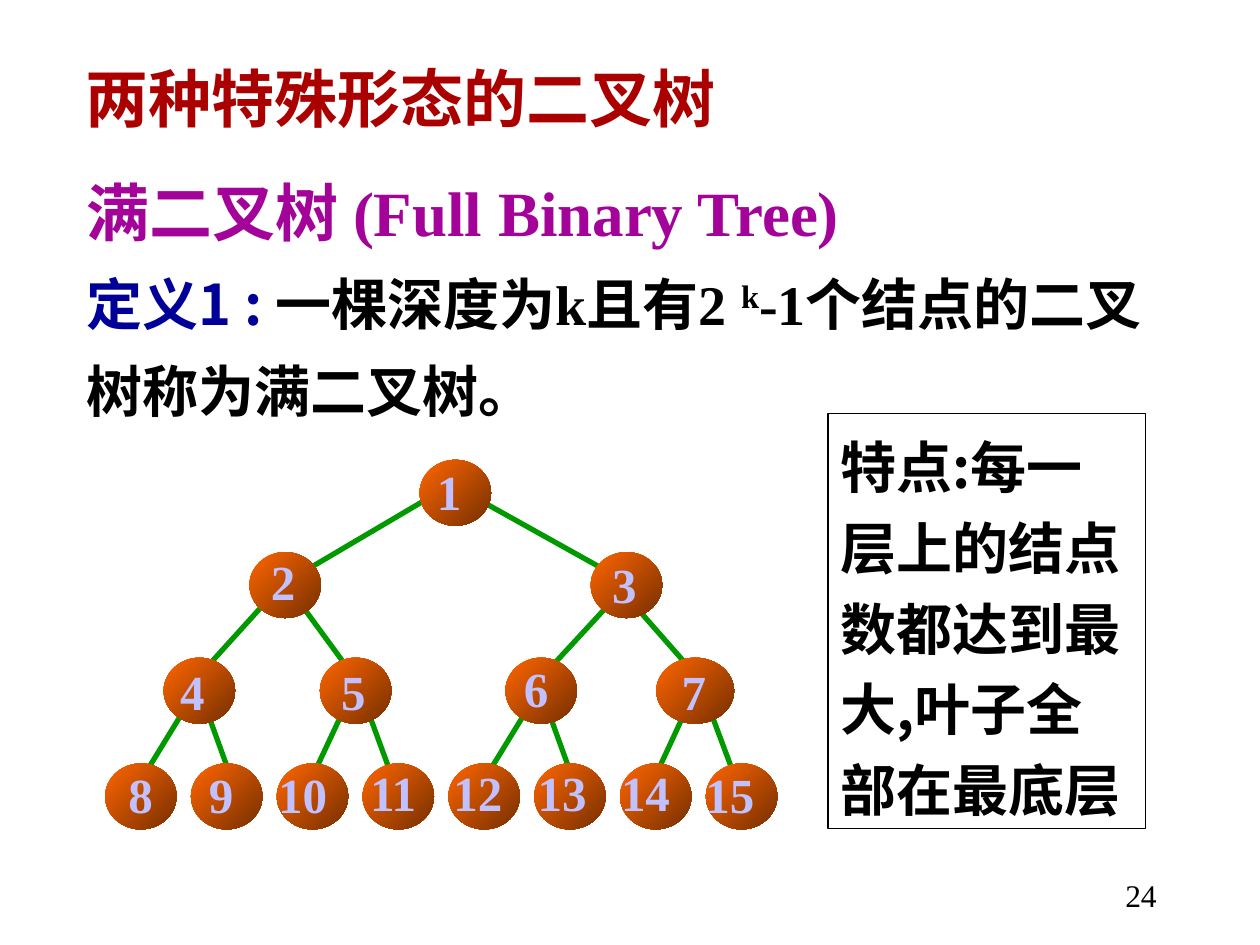
"""Build the full binary tree slide."""
from pptx import Presentation
from pptx.dml.color import RGBColor
from pptx.enum.shapes import MSO_CONNECTOR as Connector, MSO_SHAPE as Shape
from pptx.enum.text import MSO_ANCHOR as Anchor, MSO_AUTO_SIZE as AutoSize, PP_ALIGN as Align
from pptx.oxml.ns import qn
from pptx.util import Cm, Pt
from lxml.etree import SubElement

COLORS = {
    "title": "AA0000", "heading": "A30398", "term": "000099", "text": "000000",
    "edge": "009900", "label": "C1C1FF", "light": "FF6600", "dark": "762F00",
}
SERIF, SANS, SANS_JP = "Times New Roman", "Noto Sans CJK SC", "Noto Sans CJK JP"
NODE_WIDTH, NODE_HEIGHT = 1.44, 1.33
LEVEL_TOPS = [9.27, 11.13, 13.26, 15.39]
LEVEL_LEFTS = [
    [8.46], [5.03, 11.91], [3.3, 6.45, 10.19, 13.23],
    [2.12 + 1.73 * column for column in range(8)],
]
LABELS = [
    (8.56, 9.17), (5.21, 11), (12.09, 11.05),
    (3.38, 13.21), (6.63, 13.21), (10.31, 13.16), (13.49, 13.21),
    (2.34, 15.29), (3.96, 15.29), (5.36, 15.29), (7.21, 15.24),
    (8.89, 15.24), (10.59, 15.24), (12.27, 15.24), (13.97, 15.29),
]
EDGES = [
    (8.86, 9.91, 5.89, 11.66), (9.63, 10.06, 12.5, 11.66),
    (5.31, 12.19, 3.86, 13.79), (5.89, 11.94, 7.04, 13.51),
    (12.5, 11.94, 11.05, 13.51), (12.78, 12.19, 13.94, 13.51),
    (3.86, 14.07, 2.72, 15.93), (4.17, 14.33, 4.75, 15.93),
    (7.04, 14.07, 6.17, 15.93), (7.32, 14.07, 7.9, 15.65),
    (10.77, 14.07, 9.63, 15.93), (11.05, 14.33, 11.63, 15.93),
    (13.94, 14.07, 13.08, 15.93), (14.22, 14.07, 14.81, 15.65),
]


def color(name):
    """Return the named colour."""
    return RGBColor.from_string(COLORS[name])


class SlideBuilder:
    """Hold the style and the current slide."""

    def __init__(self, presentation):
        """Add a title-only slide."""
        self.slide = presentation.slides.add_slide(presentation.slide_layouts[5])
        self.shapes = self.slide.shapes

    def style(self, font, size=None, name=None, shade=None, bold=True):
        """Format the font of a paragraph or run."""
        font.bold = bold
        if size:
            font.size = Pt(size)
        if name:
            font.name = name
        if shade:
            font.color.rgb = color(shade)

    def frame(self, shape, wrap=True):
        """Prepare the text frame of a shape."""
        frame = shape.text_frame
        frame.word_wrap = wrap
        frame.auto_size = AutoSize.NONE
        frame.vertical_anchor = Anchor.TOP
        return frame

    def title(self, text, left, top, width, height):
        """Move and format the title placeholder."""
        shape = self.shapes.title
        shape.left, shape.top, shape.width, shape.height = map(Cm, (left, top, width, height))
        paragraph = self.frame(shape).paragraphs[0]
        paragraph.text = text
        paragraph.alignment = Align.LEFT
        self.style(paragraph.font, 36, SERIF, "title")

    def text(self, text, left, top, width, height, size, shade,
             bold=True, align=Align.LEFT, wrap=True):
        """Add a text box of one style."""
        box = self.shapes.add_textbox(Cm(left), Cm(top), Cm(width), Cm(height))
        paragraph = self.frame(box, wrap).paragraphs[0]
        paragraph.text = text
        paragraph.alignment = align
        self.style(paragraph.font, size, SERIF, shade, bold)

    def runs(self, paragraph, spacing, pieces):
        """Fill a paragraph with runs of differing style."""
        paragraph.line_spacing = spacing
        paragraph.alignment = Align.LEFT
        for text, *style in pieces:
            run = paragraph.add_run()
            run.text = text
            self.style(run.font, *style)
        return paragraph

    def definition(self, left, top, width, height):
        """Add the heading and the definition."""
        box = self.shapes.add_textbox(Cm(left), Cm(top), Cm(width), Cm(height))
        frame = self.frame(box)
        self.runs(frame.paragraphs[0], 1.3, [
            ("满二叉树 (Full Binary Tree)", 36, SERIF, "heading"),
            (" ", 32, SERIF, "heading"),
        ])
        paragraph = self.runs(frame.add_paragraph(), 1.3, [
            ("定义1", 32, SANS, "term"),
            (" ", 28, SERIF, "term", False),
            (": ", 32, SANS, "term"),
            ("一棵深度为k且有2 ", 32, SERIF, "text"),
            ("k", 32, SERIF, "text"),
            ("-1个结点的二叉树称为满二叉树。", 32, SERIF, "text"),
        ])
        exponent = paragraph.runs[4].font
        exponent._element.set("baseline", "30000")

    def feature(self, left, top, width, height):
        """Add the outlined box with the property of the tree."""
        shape = self.shapes.add_shape(Shape.RECTANGLE, Cm(left), Cm(top), Cm(width), Cm(height))
        shape.shadow.inherit = False
        shape.fill.background()
        shape.line.color.rgb = color("text")
        shape.line.width = Pt(0.75)
        paragraph = self.frame(shape).paragraphs[0]
        self.runs(paragraph, 1.2, [
            ("特点:", 32, SANS, "text"),
            ("每一层上的结点数都达到最大,", 32, SANS_JP, "text"),
            ("叶子全部在最底层", 32, SERIF, "text"),
        ])

    def edge(self, *ends):
        """Add a line from a parent to a child."""
        line = self.shapes.add_connector(Connector.STRAIGHT, *map(Cm, ends))
        line.line.color.rgb = color("edge")
        line.line.width = Pt(3)
        SubElement(line._element.spPr, qn("a:effectLst"))

    def node(self, left, top, width):
        """Add a shaded oval."""
        oval = self.shapes.add_shape(Shape.OVAL, Cm(left), Cm(top), Cm(width), Cm(NODE_HEIGHT))
        oval.shadow.inherit = False
        oval.line.fill.background()
        oval.fill.gradient()
        oval.fill.gradient_angle = 315
        for stop, shade in zip(oval.fill.gradient_stops, ("light", "dark")):
            stop.color.rgb = color(shade)

    def tree(self):
        """Add the edges, the nodes and their numbers."""
        for ends in EDGES:
            self.edge(*ends)
        for top, lefts in zip(LEVEL_TOPS, LEVEL_LEFTS):
            for left in lefts:
                self.node(left, top, 1.57 if left == 13.23 else NODE_WIDTH)
        for number, (left, top) in enumerate(LABELS, 1):
            width = 0.99 if number < 10 else 1.5
            self.text(str(number), left, top, width, 1.45, 28, "label", wrap=False)


def main():
    """Build and save the presentation."""
    presentation = Presentation()
    presentation.slide_width, presentation.slide_height = Cm(25.4), Cm(19.05)
    builder = SlideBuilder(presentation)
    builder.title("两种特殊形态的二叉树", 1.47, 1.07, 15.32, 1.78)
    builder.definition(1.5, 2.92, 22.33, 5.77)
    builder.tree()
    builder.feature(16.69, 8.33, 6.4, 8.38)
    builder.text("24", 18.29, 17.53, 5.28, 1.27, 18, "text", bold=False, align=Align.RIGHT)
    presentation.save("out.pptx")


if __name__ == "__main__":
    main()
